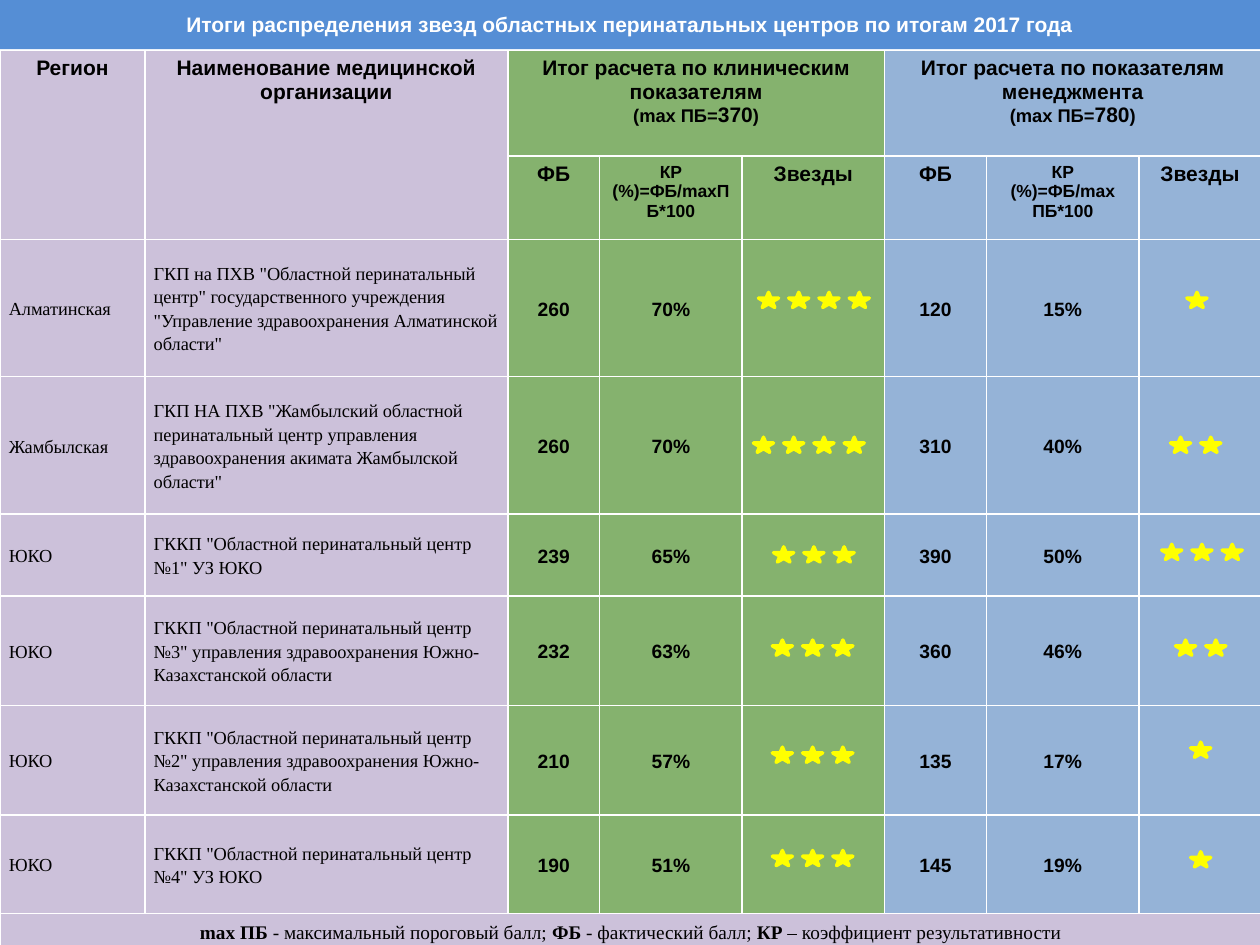
from dataclasses import dataclass
from typing import Any

from lxml.etree import SubElement
from pptx import Presentation
from pptx.dml.color import RGBColor
from pptx.enum.shapes import MSO_SHAPE
from pptx.enum.text import MSO_ANCHOR, PP_ALIGN
from pptx.oxml.ns import qn
from pptx.util import Inches, Pt

LILAC, GREEN, BLUE = "CCC1DA", "85B26E", "95B3D7"
WHITE, BLACK, YELLOW, TITLE = "FFFFFF", "000000", "FFFF00", "558ED5"
COLS = [1.15, 2.88, 0.73, 1.13, 1.13, 0.81, 1.21, 0.97]
FILLS = [LILAC] * 2 + [GREEN] * 3 + [BLUE] * 3
STEP, WIDE, HIGH = 0.24, 0.16, 0.12

HEAD = {"size": Pt(12), "name": "Arial", "bold": True}
SMALL = HEAD | {"size": Pt(10)}
NOTE = HEAD | {"size": Pt(10.5)}
PLAIN = {"size": Pt(10.5), "name": "Times New Roman", "bold": False}
VALUE = HEAD | {"size": Pt(11)}
FOOT = PLAIN | {"size": Pt(11)}
TERM = FOOT | {"bold": True}
BODY = {
    "vertical_anchor": MSO_ANCHOR.MIDDLE,
    "margin_left": Inches(0.07),
    "margin_right": Inches(0.07),
    "margin_top": 0,
    "margin_bottom": 0,
}
Run = tuple[str, dict[str, Any]]


@dataclass
class Stars:
    """A row of stars: count and the corner of the first one."""
    count: int
    left: float
    top: float


@dataclass
class Centre:
    """One table row with its height, texts, values and stars."""
    high: float
    region: str
    name: str
    clinic: tuple[str, str]
    manage: tuple[str, str]
    stars: tuple[Stars, Stars]


CENTRES = [
    Centre(1.09, "Алматинская",
           'ГКП на ПХВ "Областной перинатальный центр" государственного учреждения '
           '"Управление здравоохранения Алматинской области"',
           ("260", "70%"), ("120", "15%"), (Stars(4, 6.02, 2.32), Stars(1, 9.42, 2.32))),
    Centre(1.09, "Жамбылская",
           'ГКП НА ПХВ "Жамбылский областной перинатальный центр управления '
           'здравоохранения акимата Жамбылской области"',
           ("260", "70%"), ("310", "40%"), (Stars(4, 5.98, 3.47), Stars(2, 9.29, 3.47))),
    Centre(0.65, "ЮКО", 'ГККП "Областной перинатальный центр №1" УЗ ЮКО',
           ("239", "65%"), ("390", "50%"), (Stars(3, 6.14, 4.34), Stars(3, 9.22, 4.32))),
    Centre(0.87, "ЮКО",
           'ГККП "Областной перинатальный центр №3" управления здравоохранения '
           'Южно-Казахстанской области',
           ("232", "63%"), ("360", "46%"), (Stars(3, 6.13, 5.08), Stars(2, 9.33, 5.08))),
    Centre(0.87, "ЮКО",
           'ГККП "Областной перинатальный центр №2" управления здравоохранения '
           'Южно-Казахстанской области',
           ("210", "57%"), ("135", "17%"), (Stars(3, 6.13, 5.93), Stars(1, 9.45, 5.89))),
    Centre(0.78, "ЮКО", 'ГККП "Областной перинатальный центр №4" УЗ ЮКО',
           ("190", "51%"), ("145", "19%"), (Stars(3, 6.13, 6.75), Stars(1, 9.45, 6.76))),
]
ROWS = [0.84, 0.66, *(c.high for c in CENTRES), 0.29]
LAST = len(ROWS) - 1


def paint(target: Any, color: str) -> None:
    """Give a fill one solid colour."""
    target.solid()
    target.fore_color.rgb = RGBColor.from_string(color)


def apply(target: Any, style: dict[str, Any]) -> None:
    """Set each attribute named in a style."""
    for key, value in style.items():
        setattr(target, key, value)


def write(frame: Any, lines: list[list[Run]], color: str = BLACK,
          align: Any = PP_ALIGN.CENTER, space: float | None = None) -> None:
    """Write lines of styled runs into a text frame."""
    for i, line in enumerate(lines):
        para = frame.add_paragraph() if i else frame.paragraphs[0]
        apply(para, {"alignment": align, "line_spacing": space})
        for text, style in line:
            run = para.add_run()
            run.text = text
            apply(run.font, style)
            paint(run.font.fill, color)


def edge(cell: Any) -> None:
    """Draw thin white borders round a cell."""
    props = cell._tc.get_or_add_tcPr()
    for side in ("a:lnL", "a:lnR", "a:lnT", "a:lnB"):
        line = SubElement(props, qn(side), w=str(Pt(1)))
        solid = SubElement(line, qn("a:solidFill"))
        SubElement(solid, qn("a:srgbClr"), val=WHITE)


def put_title(slide: Any) -> None:
    """Draw the title bar."""
    bar = slide.shapes.add_shape(MSO_SHAPE.RECTANGLE, 0, 0, Inches(10), Inches(0.39))
    bar.shadow.inherit = False
    paint(bar.fill, TITLE)
    bar.line.fill.background()
    apply(bar.text_frame, {"word_wrap": True, "vertical_anchor": MSO_ANCHOR.MIDDLE})
    text = "Итоги распределения звезд областных перинатальных центров по итогам 2017 года"
    write(bar.text_frame, [[(text, HEAD)]], WHITE)


def put_heads(table: Any) -> None:
    """Fill and merge the two heading rows."""
    for col, text in enumerate(("Регион", "Наименование медицинской организации")):
        table.cell(0, col).merge(table.cell(1, col))
        write(table.cell(0, col).text_frame, [[(text, HEAD)]])
    for col, kind, top, rate in (
        (2, "клиническим показателям", "370", "КР (%)=ФБ/mахПБ*100"),
        (5, "показателям менеджмента", "780", "КР (%)=ФБ/mах ПБ*100"),
    ):
        table.cell(0, col).merge(table.cell(0, col + 2))
        limit = [("(mах ПБ=", NOTE), (top, HEAD), (")", NOTE)]
        write(table.cell(0, col).text_frame, [[(f"Итог расчета по {kind}", HEAD)], limit])
        for i, run in enumerate((("ФБ", HEAD), (rate, SMALL), ("Звезды", HEAD))):
            write(table.cell(1, col + i).text_frame, [[run]])


def put_row(table: Any, row: int, item: Centre) -> None:
    """Write the texts and values of one centre."""
    texts = {0: item.region, 1: item.name, 2: item.clinic[0], 3: item.clinic[1],
             5: item.manage[0], 6: item.manage[1]}
    for col, text in texts.items():
        cell = table.cell(row, col)
        apply(cell, BODY)
        style, align = (PLAIN, PP_ALIGN.LEFT) if col < 2 else (VALUE, PP_ALIGN.CENTER)
        write(cell.text_frame, [[(text, style)]], align=align, space=1.15)


def put_foot(table: Any) -> None:
    """Write the legend in the last row."""
    cell = table.cell(LAST, 0)
    cell.merge(table.cell(LAST, len(COLS) - 1))
    apply(cell, BODY)
    runs = [("mах ПБ ", TERM), ("- максимальный пороговый балл; ", FOOT), ("ФБ", TERM),
            (" - фактический балл; ", FOOT), ("КР", TERM),
            (" – коэффициент результативности", FOOT)]
    write(cell.text_frame, [runs], space=1.15)


def put_table(slide: Any) -> None:
    """Build the whole table."""
    table = slide.shapes.add_table(len(ROWS), len(COLS), 0, Inches(0.4),
                                   Inches(10), Inches(7.1)).table
    for col, wide in zip(table.columns, COLS):
        col.width = Inches(wide)
    for i, high in enumerate(ROWS):
        table.rows[i].height = Inches(high)
        for col, color in enumerate(FILLS):
            cell = table.cell(i, col)
            edge(cell)
            paint(cell.fill, LILAC if i == LAST else color)
    put_heads(table)
    for row, item in enumerate(CENTRES, 2):
        put_row(table, row, item)
    put_foot(table)


def put_stars(slide: Any, item: Stars) -> None:
    """Draw a row of stars, grouped when there are several."""
    shapes = slide.shapes.add_group_shape().shapes if item.count > 1 else slide.shapes
    for i in range(item.count):
        star = shapes.add_shape(MSO_SHAPE.STAR_5_POINT, Inches(item.left + i * STEP),
                                Inches(item.top), Inches(WIDE), Inches(HIGH))
        star.shadow.inherit = False
        paint(star.fill, YELLOW)
        paint(star.line.fill, YELLOW)
        star.line.width = Pt(2)


def main() -> None:
    """Build and save the slide."""
    deck = Presentation()
    apply(deck, {"slide_width": Inches(10), "slide_height": Inches(7.5)})
    slide = deck.slides.add_slide(deck.slide_layouts[6])
    put_title(slide)
    put_table(slide)
    for item in CENTRES:
        for stars in item.stars:
            put_stars(slide, stars)
    deck.save("out.pptx")


if __name__ == "__main__":
    main()
